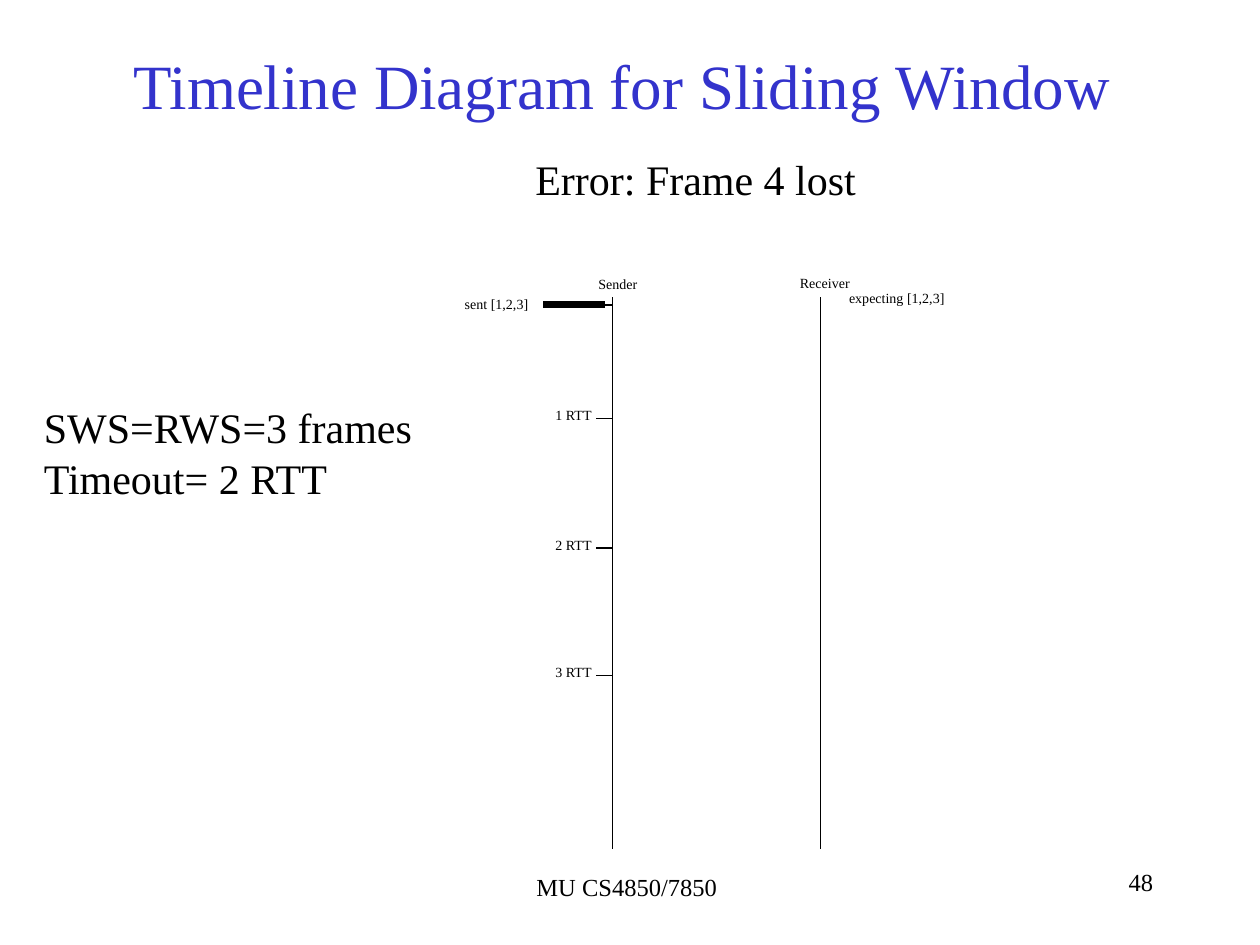
from pptx import Presentation
from pptx.dml.color import RGBColor as Rgb
from pptx.enum.shapes import MSO_CONNECTOR as Conn
from pptx.enum.text import MSO_ANCHOR as Anchor, PP_ALIGN as Align
from pptx.oxml.ns import qn
from pptx.util import Inches, Pt
from lxml.etree import SubElement as Sub

HUES = {"ink": "000000", "title": "3333CC"}
FACE = "Times New Roman"


def text(slide, box, lines, size, hue="ink", align=Align.LEFT, anchor=Anchor.TOP):
    frame = slide.shapes.add_textbox(*map(Inches, box)).text_frame
    for key, val in {"word_wrap": True, "vertical_anchor": anchor}.items():
        setattr(frame, key, val)
    for i, line in enumerate(lines):
        para = frame.paragraphs[0] if i == 0 else frame.add_paragraph()
        para.alignment = align
        run = para.add_run()
        run.text = line
        for key, val in {"name": FACE, "size": Pt(size)}.items():
            setattr(run.font, key, val)
        run.font.color.rgb = Rgb.from_string(HUES[hue])


def rule(slide, x1, y1, x2, y2, width=0.75):
    line = slide.shapes.add_connector(Conn.STRAIGHT, *map(Inches, (x1, y1, x2, y2)))
    line.line.width = Pt(width)
    line.line.color.rgb = Rgb.from_string(HUES["ink"])
    Sub(line._element.spPr, qn("a:effectLst"))


def header(slide, box):
    left, top, wide, high = box
    text(slide, box, ["Timeline Diagram for Sliding Window "], 36, "title",
         Align.CENTER, Anchor.MIDDLE)
    text(slide, (left + 3.4, top + 1.13, 3.14, 0.5), ["Error: Frame 4 lost"], 24)


def params(slide, box):
    text(slide, box, ["SWS=RWS=3 frames", "Timeout= 2 RTT"], 24)


def chart(slide, box):
    left, top, wide, high = box
    right = left + wide
    for x in (left, right):
        rule(slide, x, top, x, top + high)
    text(slide, (left - 0.21, top - 0.22, 0.6, 0.24), ["Sender"], 8)
    text(slide, (right - 0.26, top - 0.23, 0.7, 0.24), ["Receiver"], 8)
    for i, drop in enumerate((0.06, 0.96, 1.99, 3)):
        y = top + drop
        rule(slide, left, y, left - 0.13, y)
        if i:
            text(slide, (left - 0.55, y - 0.14, 0.55, 0.24), [f"{i} RTT"], 8)
    start = top + 0.06
    rule(slide, left - 0.55, start, left - 0.06, start, 4)
    text(slide, (left - 1.27, top - 0.06, 0.97, 0.24), ["sent [1,2,3]"], 8)
    text(slide, (right + 0.13, top - 0.11, 1.3, 0.24), ["expecting [1,2,3]"], 8)


def footer(slide, box):
    left, top, wide, high = box
    text(slide, (left, top + 0.04, 3.17, high), ["MU CS4850/7850"], 14, align=Align.CENTER)
    text(slide, (left + wide - 2.08, top, 2.08, high), ["48"], 14, align=Align.RIGHT)


def main():
    deck = Presentation()
    deck.slide_width, deck.slide_height = Inches(10), Inches(7.5)
    slide = deck.slides.add_slide(deck.slide_layouts[6])
    header(slide, (0.75, 0.04, 8.5, 1.25))
    params(slide, (0.25, 3.14, 3.2, 0.9))
    chart(slide, (4.86, 2.36, 1.65, 4.38))
    footer(slide, (3.39, 6.83, 5.86, 0.5))
    deck.save("out.pptx")


if __name__ == "__main__":
    main()
